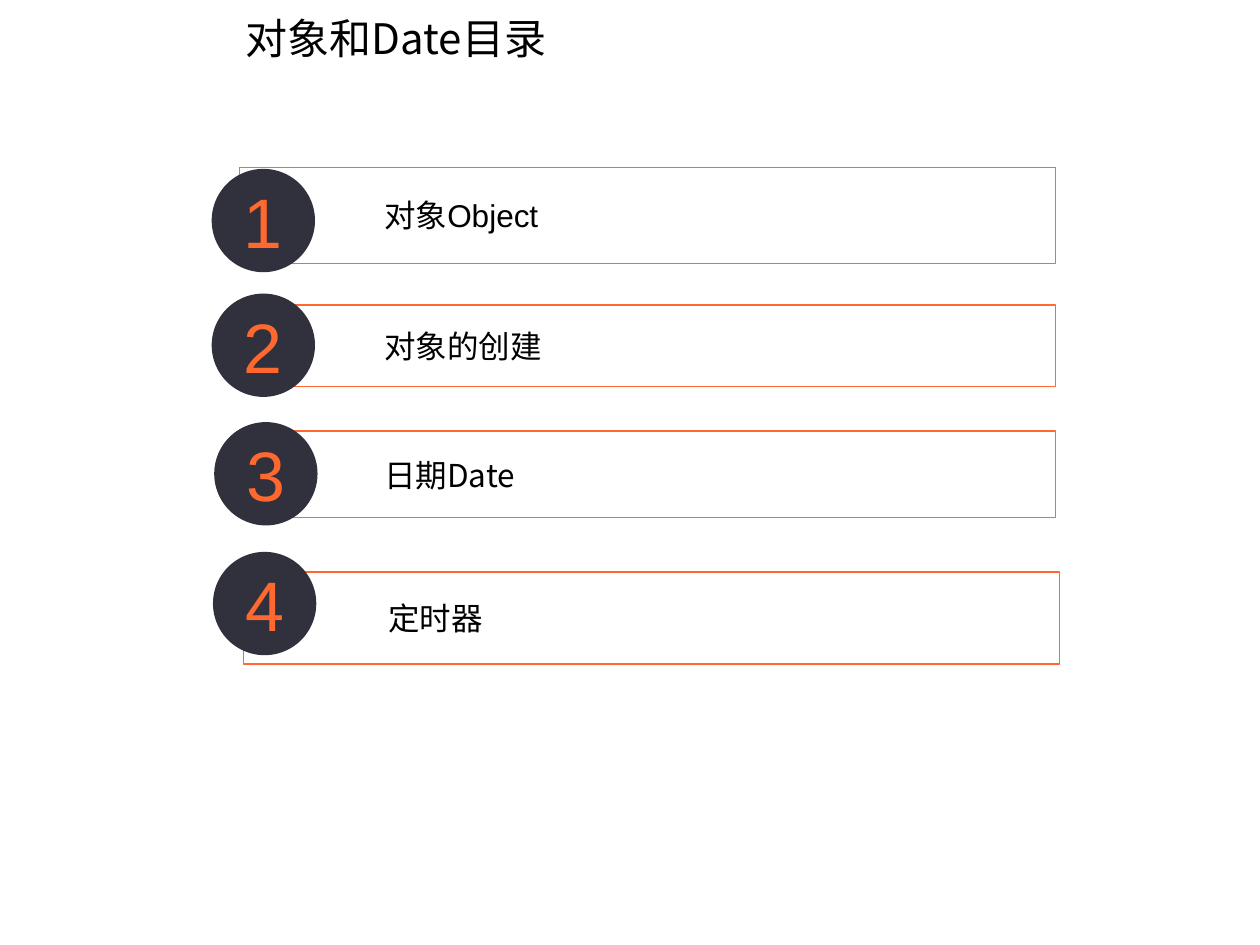
from lxml.etree import SubElement
from pptx import Presentation
from pptx.dml.color import RGBColor
from pptx.enum.shapes import MSO_SHAPE
from pptx.enum.text import MSO_ANCHOR, MSO_AUTO_SIZE, PP_ALIGN
from pptx.oxml.ns import qn
from pptx.util import Inches, Pt

COLORS = {
    "bar": "FFFFFF",
    "accent": "FF682F",
    "disc": "30313C",
    "text": "000000",
}
LATIN = "Arial"
CJK = "Noto Sans CJK SC"
BAR_WIDTH = 6.48
DISC_SIZE = 0.82

ENTRIES = [
    ("对象Object", LATIN, (1.9, 1.33, 0.76), (1.68, 1.34)),
    ("对象的创建", LATIN, (1.9, 2.42, 0.65), (1.68, 2.33)),
    ("日期Date", CJK, (1.9, 3.42, 0.69), (1.7, 3.35)),
    ("定时器", CJK, (1.93, 4.54, 0.73), (1.69, 4.38)),
]


def color(name):
    return RGBColor.from_string(COLORS[name])


def set_text(shape, text, size, font, color_name, align, anchor, insets):
    frame = shape.text_frame
    frame.text = text
    frame.word_wrap = True
    frame.auto_size = MSO_AUTO_SIZE.NONE
    frame.vertical_anchor = anchor
    left, top, right, bottom = (Inches(inset) for inset in insets)
    frame.margin_left, frame.margin_top = left, top
    frame.margin_right, frame.margin_bottom = right, bottom
    para = frame.paragraphs[0]
    para.alignment = align
    span = para.runs[0]
    span.font.size = Pt(size)
    span.font.color.rgb = color(color_name)
    span.font.name = font
    SubElement(span.font._element, qn("a:ea")).set("typeface", CJK)
    return para


def add_title(page, left, top, width, height):
    title = page.shapes.title
    title.left, title.top = Inches(left), Inches(top)
    title.width, title.height = Inches(width), Inches(height)
    set_text(title, "对象和Date目录", 24, CJK, "text", PP_ALIGN.LEFT,
             MSO_ANCHOR.TOP, (0.1, 0.05, 0.1, 0.05))


def add_bar(page, text, font, left, top, width, height):
    bar = page.shapes.add_shape(MSO_SHAPE.RECTANGLE, Inches(left), Inches(top),
                                Inches(width), Inches(height))
    bar.shadow.inherit = False
    bar.fill.solid()
    bar.fill.fore_color.rgb = color("bar")
    fill_color = bar.fill._xPr.find(qn("a:solidFill"))[0]
    SubElement(fill_color, qn("a:alpha")).set("val", "40000")
    bar.line.color.rgb = color("accent")
    bar.line.width = Pt(0.75)
    para = set_text(bar, text, 18, font, "text", PP_ALIGN.LEFT,
                    MSO_ANCHOR.MIDDLE, (0.65, 0.08, 0.08, 0.08))
    para.level = 1
    properties = para._p.get_or_add_pPr()
    properties.set("marL", str(Inches(0.5)))
    properties.set("indent", "0")


def add_disc(page, number, left, top, size):
    disc = page.shapes.add_shape(MSO_SHAPE.OVAL, Inches(left), Inches(top),
                                 Inches(size), Inches(size))
    disc.shadow.inherit = False
    disc.fill.solid()
    disc.fill.fore_color.rgb = color("disc")
    disc.line.fill.background()
    set_text(disc, str(number), 40, LATIN, "accent", PP_ALIGN.CENTER,
             MSO_ANCHOR.MIDDLE, (0.1, 0.05, 0.1, 0.05))


def main():
    deck = Presentation()
    deck.slide_width, deck.slide_height = Inches(10), Inches(7.5)
    page = deck.slides.add_slide(deck.slide_layouts[5])
    add_title(page, 1.85, 0.05, 2.9, 0.5)
    for number, (text, font, bar, disc) in enumerate(ENTRIES, 1):
        left, top, height = bar
        add_bar(page, text, font, left, top, BAR_WIDTH, height)
        add_disc(page, number, *disc, DISC_SIZE)
    deck.save("out.pptx")


if __name__ == "__main__":
    main()
